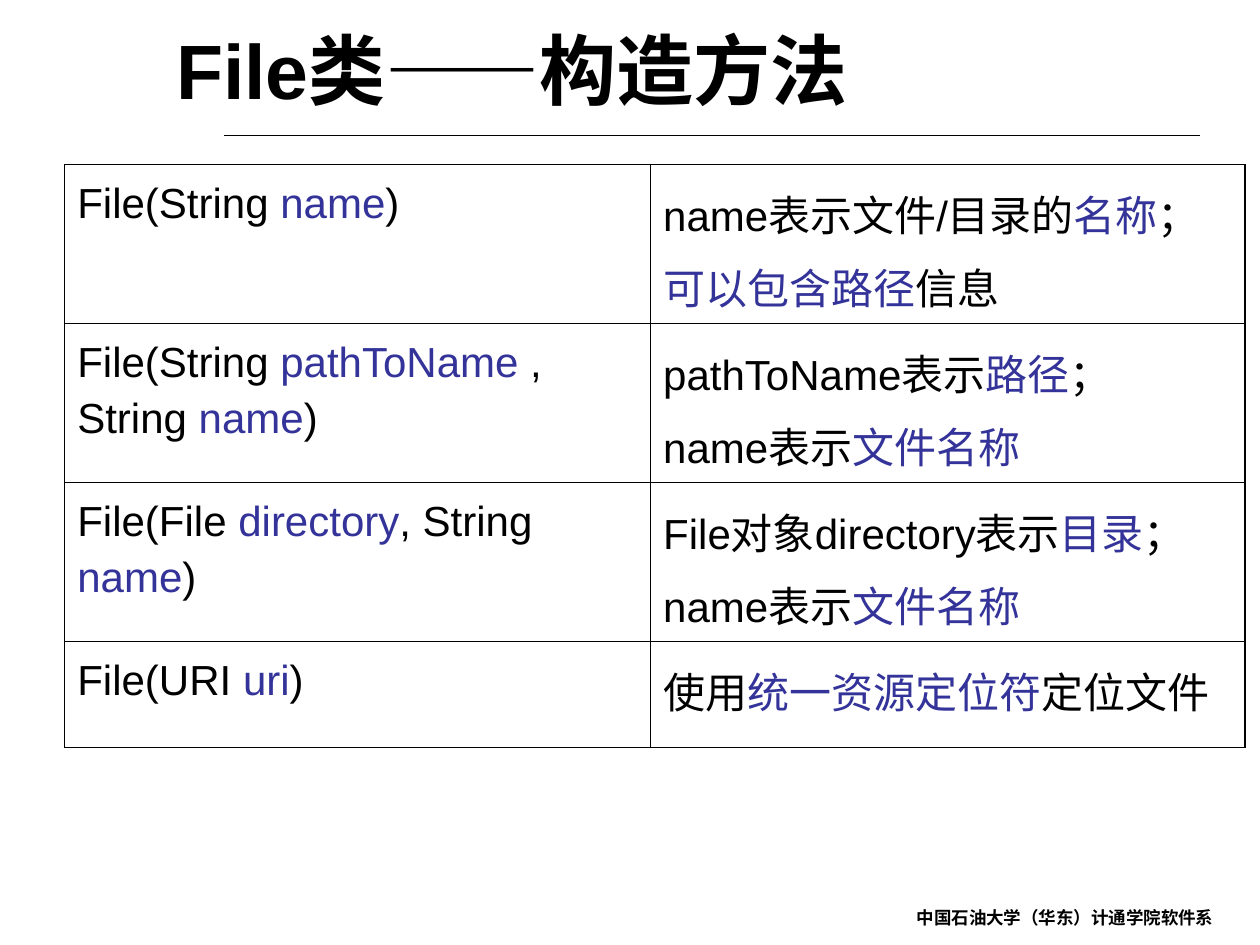
from pptx import Presentation
from pptx.util import Pt
from pptx.dml.color import RGBColor
from pptx.enum.shapes import MSO_CONNECTOR
from pptx.enum.text import MSO_ANCHOR
from pptx.oxml.ns import qn
from lxml.etree import SubElement

# Content: *stars* mark key words, a list entry is one paragraph
TITLE = "File类——构造方法"
FOOT = "中国石油大学（华东）计通学院软件系"
ROWS = [
    (["File(String *name*)"],
     ["name表示文件/目录的*名称*；*可以包含路径*信息"]),
    (["File(String *pathToName* , String *name*)"],
     ["pathToName表示*路径*；", "name表示*文件名称*"]),
    (["File(File *directory*, String *name*)"],
     ["File对象directory表示*目录*；name表示*文件名称*"]),
    (["File(URI *uri*)"],
     ["使用*统一资源定位符*定位文件"]),
]
COLORS = {"text": "000000", "key": "333399", "line": "000000"}
CJK = "Noto Sans CJK SC"
WIDE = [334.8, 339.8]
HIGH = [90.9, 90.9, 90.9, 60.6]
THICK, THIN = 1.08, 0.45


def rgb(name):
    return RGBColor.from_string(COLORS[name])


def write(frame, paras, size=24, bold=False, face="Arial", gap=None):
    for i, text in enumerate(paras):
        para = frame.paragraphs[0] if i == 0 else frame.add_paragraph()
        if gap:
            para.line_spacing = gap
        for j, part in enumerate(text.split("*")):
            if not part:
                continue
            run = para.add_run()
            run.text = part
            font = run.font
            font.size, font.bold, font.name = Pt(size), bold, face
            font.color.rgb = rgb("key" if j % 2 else "text")
            SubElement(font._element, qn("a:ea"), typeface=CJK)


def add_box(slide, left, top, width, height, wrap=True):
    box = slide.shapes.add_textbox(Pt(left), Pt(top), Pt(width), Pt(height))
    box.text_frame.word_wrap = wrap
    return box.text_frame


def edge(cell, side, width):
    line = SubElement(cell._tc.get_or_add_tcPr(), qn("a:" + side),
                      w=str(Pt(width)))
    fill = SubElement(line, qn("a:solidFill"))
    SubElement(fill, qn("a:srgbClr"), val=COLORS["line"])


deck = Presentation()
deck.slide_width, deck.slide_height = Pt(720), Pt(540)
slide = deck.slides.add_slide(deck.slide_layouts[6])

# Rule under the title
rule = slide.shapes.add_connector(
    MSO_CONNECTOR.STRAIGHT, Pt(128.2), Pt(77.2), Pt(685.6), Pt(77.2))
rule.line.color.rgb = rgb("line")
rule.line.width = Pt(0.25)
SubElement(rule._element.spPr, qn("a:effectLst"))

# Footer and title
write(add_box(slide, 516.8, 514.8, 183.6, 10, wrap=False), [FOOT],
      size=10, bold=True, face=CJK)
head = add_box(slide, 93.6, 8.4, 590.4, 61.9)
head.vertical_anchor = MSO_ANCHOR.MIDDLE
write(head, [TITLE], size=44, bold=True)

# Table of constructors, with a thicker right edge
table = slide.shapes.add_table(
    len(ROWS), len(WIDE), Pt(37), Pt(94),
    Pt(sum(WIDE)), Pt(sum(HIGH))).table
table.first_row = table.horz_banding = False
for col, width in zip(table.columns, WIDE):
    col.width = Pt(width)
for row, height in zip(table.rows, HIGH):
    row.height = Pt(height)
for r, row in enumerate(ROWS):
    for c, paras in enumerate(row):
        cell = table.cell(r, c)
        last = c == len(WIDE) - 1
        for side in ("lnL", "lnR", "lnT", "lnB"):
            edge(cell, side, THICK if last and side == "lnR" else THIN)
        cell.fill.background()
        write(cell.text_frame, paras, gap=1.2)

deck.save("out.pptx")
